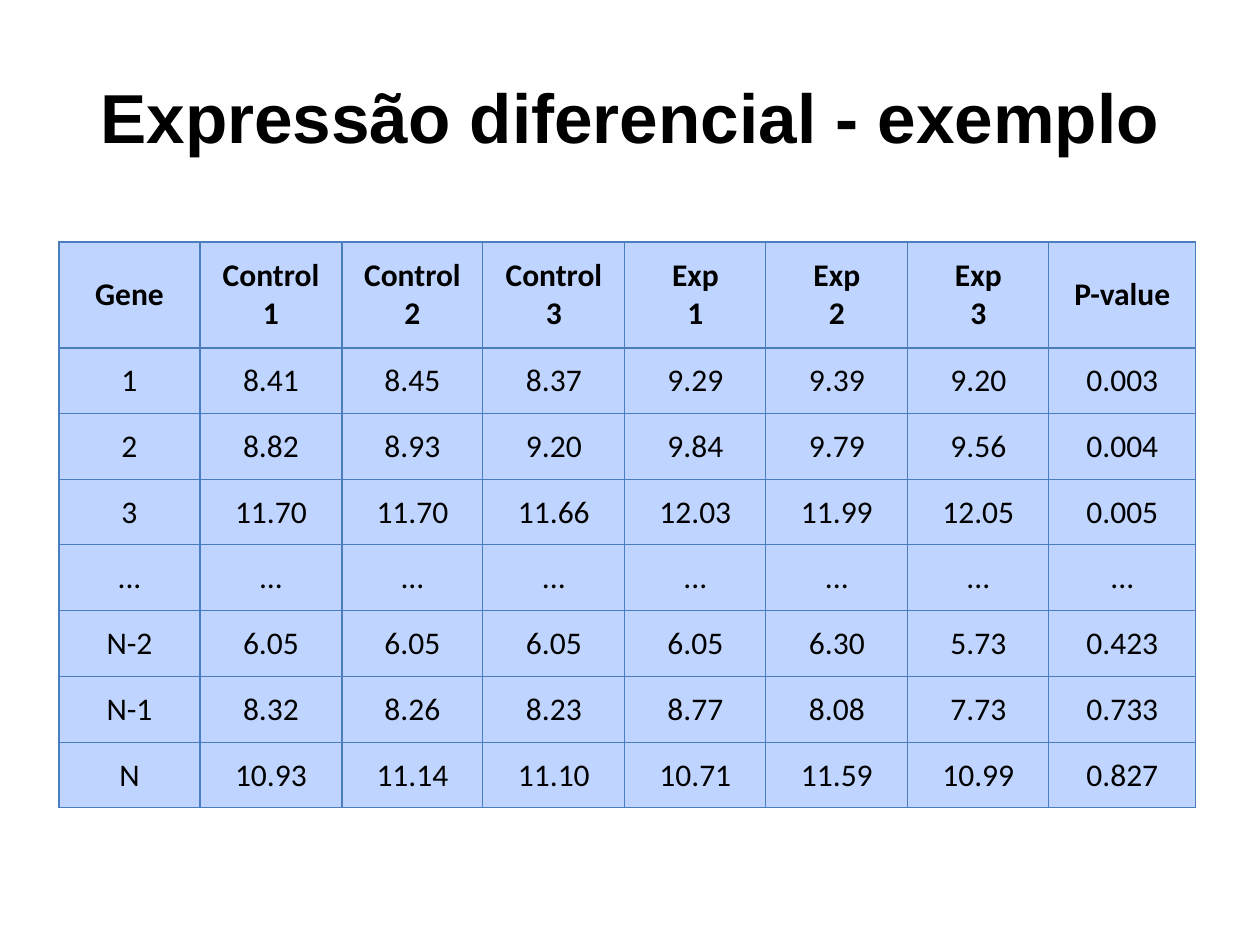
"""Build a slide with a table of differential gene expression."""
import pptx
import pptx.dml.color
import pptx.enum.text
import pptx.oxml
import pptx.oxml.ns
import pptx.util
import lxml.etree

PX = 914400 // 126
COLORS = {"text": "000000", "cell": "BFD4FF", "border": "4B7EBC"}
CENTER = pptx.enum.text.PP_ALIGN.CENTER
MIDDLE = pptx.enum.text.MSO_ANCHOR.MIDDLE


def add_span(para, text, font, size, bold):
    para.alignment = CENTER
    span = para.add_run()
    span.text = text
    span.font.name = font
    span.font.size = pptx.util.Pt(size)
    span.font.bold = bold
    span.font.color.rgb = pptx.dml.color.RGBColor.from_string(COLORS["text"])


def add_borders(cell):
    properties = cell._tc.get_or_add_tcPr()
    for position, side in enumerate(("lnL", "lnR", "lnT", "lnB")):
        line = lxml.etree.Element(pptx.oxml.ns.qn("a:" + side), w=str(pptx.util.Pt(0.75)))
        fill = lxml.etree.SubElement(line, pptx.oxml.ns.qn("a:solidFill"))
        lxml.etree.SubElement(fill, pptx.oxml.ns.qn("a:srgbClr"), val=COLORS["border"])
        properties.insert(position, line)


deck = pptx.Presentation()
deck.slide_width = pptx.util.Inches(10)
deck.slide_height = pptx.util.Inches(7.5)
page = deck.slides.add_slide(deck.slide_layouts[5])

title = page.shapes.title
title.left, title.top, title.width, title.height = [n * PX for n in (63, 21, 1134, 189)]
title.text_frame.vertical_anchor = MIDDLE
title.text_frame.auto_size = pptx.enum.text.MSO_AUTO_SIZE.NONE
add_span(title.text_frame.paragraphs[0], "Expressão diferencial - exemplo", "Arial", 39.6, True)

rows = [
    ["Gene", "Control 1", "Control 2", "Control 3", "Exp\n1", "Exp\n2", "Exp\n3", "P-value"],
    ["1", "8.41", "8.45", "8.37", "9.29", "9.39", "9.20", "0.003"],
    ["2", "8.82", "8.93", "9.20", "9.84", "9.79", "9.56", "0.004"],
    ["3", "11.70", "11.70", "11.66", "12.03", "11.99", "12.05", "0.005"],
    ["..."] * 8,
    ["N-2", "6.05", "6.05", "6.05", "6.05", "6.30", "5.73", "0.423"],
    ["N-1", "8.32", "8.26", "8.23", "8.77", "8.08", "7.73", "0.733"],
    ["N", "10.93", "11.14", "11.10", "10.71", "11.59", "10.99", "0.827"],
]
widths = [141, 142] * 3 + [141, 147]
heights = [106] + [66, 66, 65, 66, 66, 66, 65]

frame = page.shapes.add_table(
    len(rows), len(widths), 59 * PX, 242 * PX, sum(widths) * PX, sum(heights) * PX
)
table = frame.table
for column, width in zip(table.columns, widths):
    column.width = width * PX
for row, height in zip(table.rows, heights):
    row.height = height * PX

for row_index, values in enumerate(rows):
    for column_index, value in enumerate(values):
        cell = table.cell(row_index, column_index)
        cell.vertical_anchor = MIDDLE
        cell.fill.solid()
        cell.fill.fore_color.rgb = pptx.dml.color.RGBColor.from_string(COLORS["cell"])
        add_borders(cell)
        for line_index, text in enumerate(value.split("\n")):
            body = cell.text_frame
            para = body.add_paragraph() if line_index else body.paragraphs[0]
            add_span(para, text, "Calibri", 18, row_index == 0)

deck.save("out.pptx")
